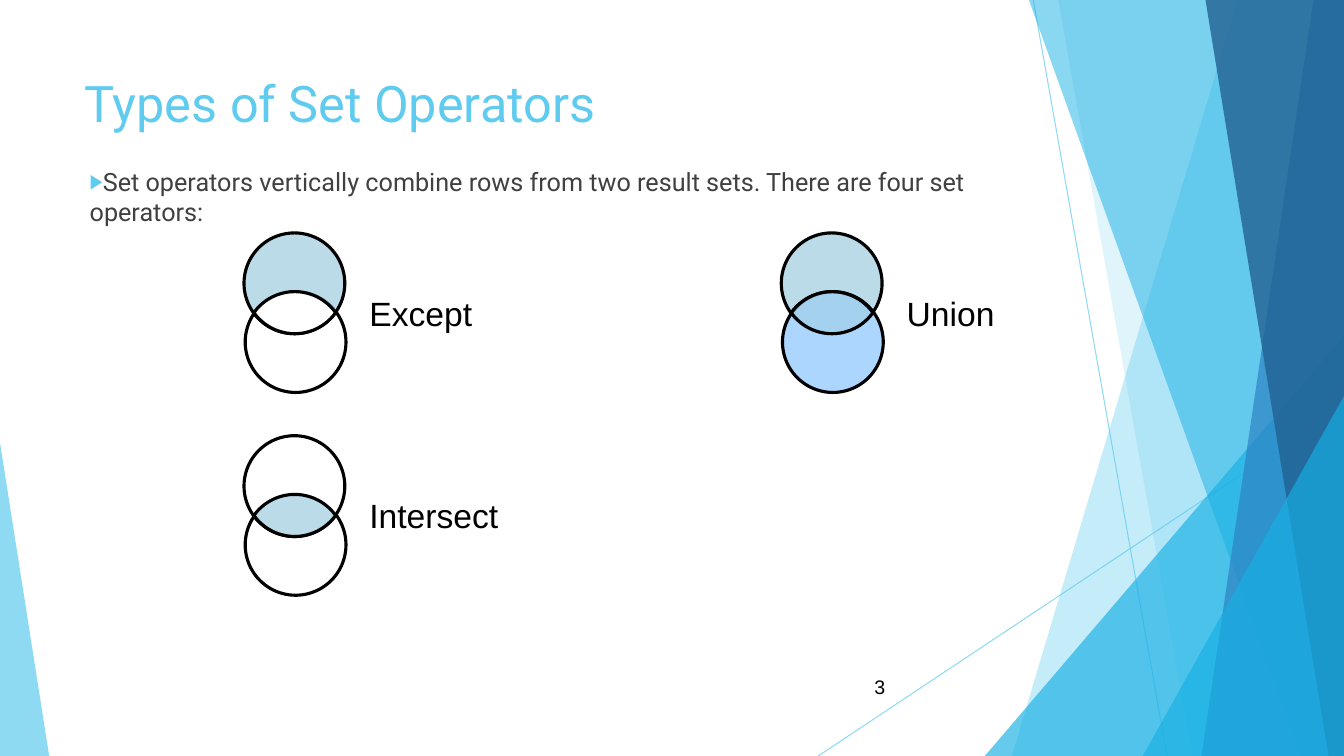
from math import asin, cos, sin
from lxml.etree import SubElement
from pptx import Presentation
from pptx.dml.color import RGBColor
from pptx.enum.shapes import MSO_CONNECTOR, MSO_SHAPE
from pptx.enum.text import MSO_ANCHOR, PP_ALIGN
from pptx.oxml.ns import qn
from pptx.util import Cm, Pt

HUES = {"sky": "5FCBEF", "aqua": "17B0E4", "blue": "2E83C3", "navy": "226292",
        "text": "404040", "black": "000000", "white": "FFFFFF",
        "teal": "A9D3E1", "pale": "99CCFF"}
WIDE, HIGH = 33.87, 19.05


def tint(fill, hue, alpha=100):
    fill.solid()
    fill.fore_color.rgb = RGBColor.from_string(HUES[hue])
    if alpha < 100:
        node = fill._xPr.find(qn("a:solidFill"))[0]
        SubElement(node, qn("a:alpha")).set("val", str(alpha * 1000))


def paint(shape, hue, alpha, edge=False):
    shape.shadow.inherit = False
    tint(shape.fill, hue, alpha)
    if edge:
        tint(shape.line.fill, "black")
        shape.line.width = Pt(2.25)
    else:
        shape.line.fill.background()


def outline(shapes, dots):
    dots = [(Cm(x), Cm(y)) for x, y in dots]
    form = shapes.build_freeform(*dots[0], scale=1.0)
    form.add_line_segments(dots[1:], close=True)
    return form.convert_to_shape()


def wedge(shapes, box, tip, hue, alpha):
    shape = shapes.add_shape(MSO_SHAPE.ISOSCELES_TRIANGLE, *map(Cm, box))
    shape.adjustments[0] = tip
    paint(shape, hue, alpha)


def facets(shapes, box):
    left, top, wide, high = box
    right, base = left + wide, top + high
    for x1, y1, x2 in ((5.42, 0, 8.79), (wide, 10.24, 0)):
        ray = shapes.add_connector(MSO_CONNECTOR.STRAIGHT, Cm(left + x1),
                                   Cm(top + y1), Cm(left + x2), Cm(base))
        tint(ray.line.fill, "sky", 70)
        ray.line.width = Pt(0.75)
        SubElement(ray._element.spPr, qn("a:effectLst"))
    parts = (("band", 10.57, 4.88, "sky", 36), ("band", 6.05, 9.43, "sky", 20),
             ("wedge", 4.2, 8.46, "aqua", 66), ("band", 5.31, 12.17, "aqua", 50),
             ("band", 12.48, 9.66, "blue", 70), ("band", 9.76, 12.86, "navy", 80),
             ("wedge", 8.18, 9.98, "aqua", 66))
    for kind, a, b, hue, alpha in parts:
        if kind == "wedge":
            wedge(shapes, (left + a, top + b, wide - a, high - b), 1, hue, alpha)
        else:
            dots = [(left + a, top), (right, top), (right, base), (left + b, base)]
            paint(outline(shapes, dots), hue, alpha)


def words(shapes, box, text, size, hue, face, wrap=True, inset=True):
    frame = shapes.add_textbox(*map(Cm, box)).text_frame
    frame.word_wrap = wrap
    if not inset:
        frame.margin_left = frame.margin_right = 0
        frame.margin_top = frame.margin_bottom = 0
    para = frame.paragraphs[0]
    para.text = text
    para.font.size, para.font.name = Pt(size), face
    para.font.color.rgb = RGBColor.from_string(HUES[hue])
    return frame


def bullet(para):
    props = para._p.get_or_add_pPr()
    props.set("marL", "0")
    props.set("indent", "0")
    color = SubElement(props, qn("a:buClr"))
    SubElement(color, qn("a:srgbClr")).set("val", HUES["sky"])
    SubElement(props, qn("a:buSzPct")).set("val", "80000")
    SubElement(props, qn("a:buFont")).set("typeface", "Arial")
    SubElement(props, qn("a:buChar")).set("char", "▶")
    last = props.find(qn("a:defRPr"))
    if last is not None:
        props.append(last)


def copy_block(shapes, box):
    left, top, wide, high = box
    words(shapes, (left, top, wide, 3.66), "Types of Set Operators",
          36, "sky", "Roboto")
    body = words(shapes, (left + 0.13, top + 2.36, wide, high - 2.36),
                 "Set operators vertically combine rows from two result sets. "
                 "There are four set operators:", 18, "text", "Roboto")
    bullet(body.paragraphs[0])


def lens(box, steps=24):
    left, top, wide, high = box
    half, rise = wide / 2, high / 2
    radius = (half ** 2 + rise ** 2) / (2 * rise)
    turn = asin(half / radius)
    arc = [turn * (2 * i / steps - 1) for i in range(steps + 1)]
    bow = [(radius * sin(t), radius * cos(t) - radius + rise) for t in arc]
    x, y = left + half, top + rise
    return ([(x + dx, y - dy) for dx, dy in bow]
            + [(x - dx, y + dy) for dx, dy in bow[1:-1]])


def venn(shapes, box, name, upper, lower, mid, flip=False):
    left, top, size, wide = box
    discs = [(0.03, 1.48, *lower), (0, 0, *upper)]
    for dx, dy, hue, alpha in discs[::-1] if flip else discs:
        disc = shapes.add_shape(MSO_SHAPE.OVAL, Cm(left + dx), Cm(top + dy),
                                Cm(size), Cm(size))
        paint(disc, hue, alpha, True)
    dots = lens((left + 0.25, top + 1.48, 2.06, 1.06))
    paint(outline(shapes, dots), *mid, True)
    words(shapes, (left + 3.16, top + 1.5, wide, 1.02), name, 24, "black",
          "Arial", False, False)


def number(shapes, box):
    frame = words(shapes, box, "3", 14, "black", "Arial")
    frame.vertical_anchor = MSO_ANCHOR.MIDDLE
    frame.paragraphs[0].alignment = PP_ALIGN.RIGHT


def main():
    deck = Presentation()
    deck.slide_width, deck.slide_height = Cm(WIDE), Cm(HIGH)
    shapes = deck.slides.add_slide(deck.slide_layouts[6]).shapes
    facets(shapes, (20.62, 0, WIDE - 20.62, HIGH))
    wedge(shapes, (0, 11.15, 1.24, HIGH - 11.15), 0, "sky", 70)
    copy_block(shapes, (1.88, 1.7, 23.88, 13.13))
    number(shapes, (20.02, 16.79, 2.54, 1.02))
    white, teal = ("white", 100), ("teal", 80)
    sets = ((0, 0, 2.62, "Except", teal, white, white),
            (0, 1, 3.28, "Intersect", white, white, teal),
            (1, 0, 2.24, "Union", teal, ("pale", 80), ("teal", 50), True))
    for col, row, wide, *rest in sets:
        venn(shapes, (6.15 + 13.54 * col, 5.87 + 5.11 * row, 2.54, wide), *rest)
    deck.save("out.pptx")


if __name__ == "__main__":
    main()
